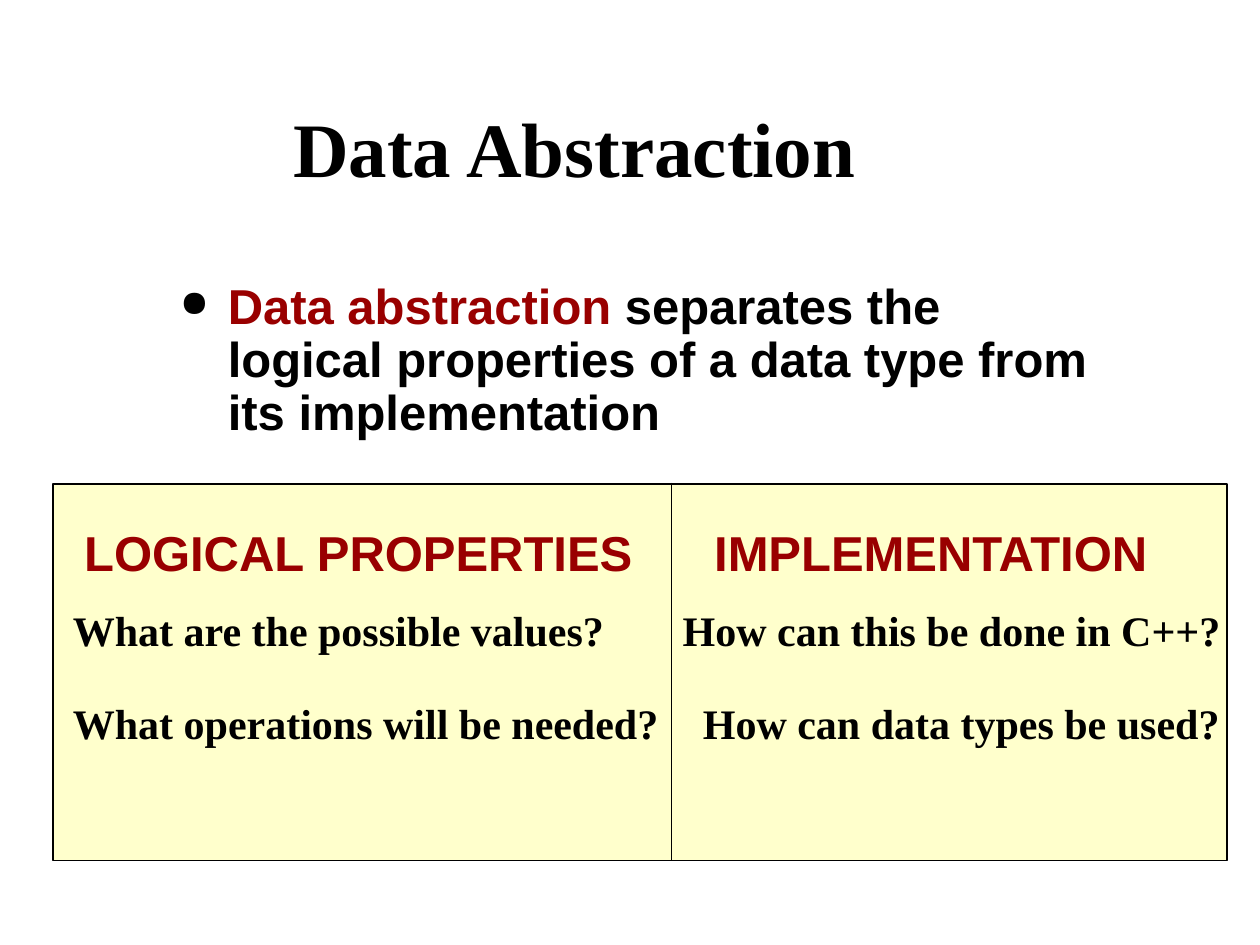
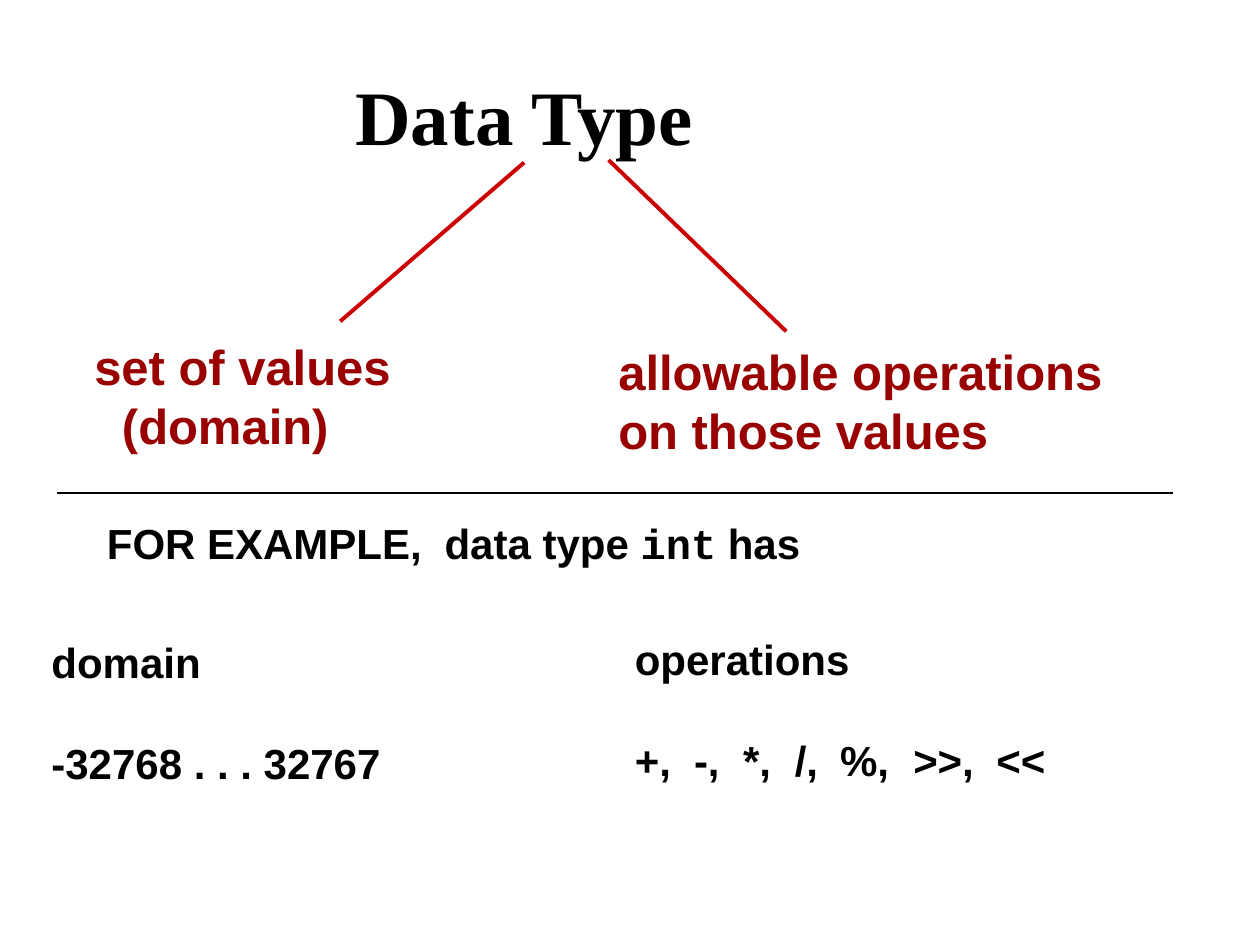
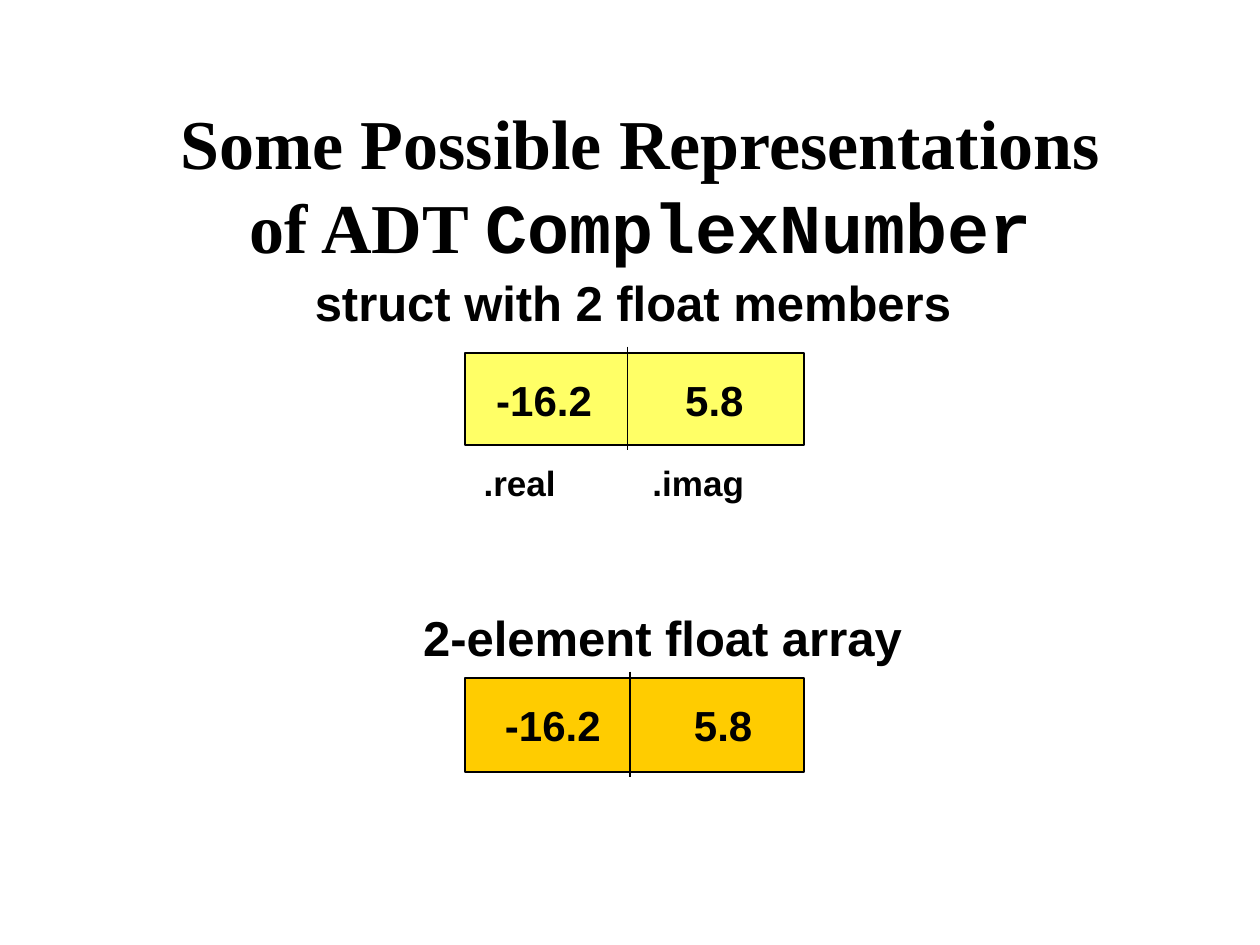
from dataclasses import dataclass

from lxml.etree import SubElement
from pptx import Presentation
from pptx.dml.color import RGBColor as RGB
from pptx.enum.shapes import MSO_CONNECTOR as Connector, MSO_SHAPE as Shape
from pptx.enum.text import MSO_ANCHOR as Anchor, MSO_AUTO_SIZE as AutoSize, PP_ALIGN as Align
from pptx.oxml.ns import qn
from pptx.util import Inches, Pt


@dataclass(frozen=True)
class Theme:
    ink: str = "000000"
    accent: str = "990000"
    branch: str = "CC0000"
    panel: str = "FFFFCC"
    struct: str = "FFFF66"
    array: str = "FFCC00"
    sans: str = "Arial"
    serif: str = "Times New Roman"
    mono: str = "Courier New"
    title: int = 44
    long_title: int = 40
    heading: int = 28
    body: int = 24
    small: int = 20
    thin: float = 1
    thick: float = 2.25


class Deck:
    """Holds the style and the slide being built."""

    def __init__(self, theme):
        self.theme = theme
        self.deck = Presentation()
        self.deck.slide_width, self.deck.slide_height = Inches(10), Inches(7.5)
        self.slide = None

    def start(self):
        self.slide = self.deck.slides.add_slide(self.deck.slide_layouts[5])

    def fill_paragraph(self, paragraph, content, size, color=None, font=None):
        """Content is a string, or a list of strings and (text, font, color) runs."""
        style = paragraph.font
        style.size, style.bold = Pt(size), True
        style.name = font or self.theme.sans
        style.color.rgb = RGB.from_string(color or self.theme.ink)
        for part in [content] if isinstance(content, str) else content:
            if part == "\n":
                paragraph.add_line_break()
                continue
            words, own_font, own_color = (part, None, None) if isinstance(part, str) else part
            run = paragraph.add_run()
            run.text = words
            if own_font:
                run.font.name = own_font
            if own_color:
                run.font.color.rgb = RGB.from_string(own_color)

    def title(self, at, content, size, right_inset=0.1):
        holder = self.slide.shapes.title
        holder.left, holder.top, holder.width, holder.height = map(Inches, at)
        frame = holder.text_frame
        frame.auto_size, frame.word_wrap = AutoSize.NONE, True
        frame.vertical_anchor = Anchor.BOTTOM
        frame.margin_right = Inches(right_inset)
        paragraph = frame.paragraphs[0]
        paragraph.alignment = Align.CENTER
        self.fill_paragraph(paragraph, content, size, font=self.theme.serif)

    def text(self, at, lines, size, color=None, font=None, gap=0, tabs=(), indents=()):
        """Tabs holds the tab stops of each line, indents the left indent of each line."""
        frame = self.slide.shapes.add_textbox(*map(Inches, at)).text_frame
        frame.word_wrap = True
        for i, line in enumerate(lines):
            paragraph = frame.add_paragraph() if i else frame.paragraphs[0]
            properties = paragraph._p.get_or_add_pPr()
            if indents:
                properties.set("marL", str(Inches(indents[i])))
            if tabs and tabs[i]:
                stops = SubElement(properties, qn("a:tabLst"))
                for stop in tabs[i]:
                    SubElement(stops, qn("a:tab"), pos=str(Inches(stop)), algn="l")
            if i and gap:
                paragraph.space_before = Pt(gap)
            self.fill_paragraph(paragraph, line, size, color, font)
        return frame

    def bullet(self, at, content, top_inset):
        frame = self.text(at, [], self.theme.heading)
        frame.margin_top = Inches(top_inset)
        paragraph = frame.paragraphs[0]
        properties = paragraph._p.get_or_add_pPr()
        properties.set("marL", str(Inches(0.38)))
        properties.set("indent", str(Inches(-0.38)))
        SubElement(SubElement(properties, qn("a:buClr")), qn("a:srgbClr"), val=self.theme.ink)
        SubElement(properties, qn("a:buSzPct"), val="75000")
        SubElement(properties, qn("a:buChar"), char="●")
        paragraph.line_spacing = 0.9
        self.fill_paragraph(paragraph, content, self.theme.heading)

    def box(self, at, fill):
        box = self.slide.shapes.add_shape(Shape.RECTANGLE, *map(Inches, at))
        box.shadow.inherit = False
        box.fill.solid()
        box.fill.fore_color.rgb = RGB.from_string(fill)
        box.line.color.rgb = RGB.from_string(self.theme.ink)
        box.line.width = Pt(self.theme.thin)

    def line(self, start, end, color=None, width=None):
        line = self.slide.shapes.add_connector(Connector.STRAIGHT, *map(Inches, start + end))
        line.line.color.rgb = RGB.from_string(color or self.theme.ink)
        line.line.width = Pt(width or self.theme.thin)
        SubElement(line._element.spPr, qn("a:effectLst"))


def data_abstraction(deck):
    theme = deck.theme
    deck.start()
    deck.title((0.9, 0.75, 8.42, 0.83), "Data Abstraction", theme.title, right_inset=1.2)
    deck.bullet(
        (1.33, 1.76, 7.42, 1.82),
        [("Data abstraction", None, theme.accent),
         " separates the logical properties of a data type from its implementation"],
        top_inset=0.48,
    )

    # Two-column panel
    deck.box((0.42, 3.84, 9.32, 2.99), theme.panel)
    deck.text((0.57, 4.1, 8.7, 0.57), ["LOGICAL PROPERTIES\tIMPLEMENTATION"],
              theme.heading, theme.accent, tabs=[[5]])
    deck.line((5.33, 3.83), (5.33, 6.83))
    deck.text(
        (0.48, 4.75, 9.52, 1.23),
        ["What are the possible values?\tHow can this be done in C++?",
         "What operations will be needed?\tHow can data types be used?"],
        theme.body, font=theme.serif, gap=24, tabs=[[4.84], [5]],
    )


def data_type(deck):
    theme = deck.theme
    deck.start()
    deck.title((0.5, 0.62, 8.42, 0.71), "Data Type", theme.title, right_inset=1.2)

    # The two parts of a data type
    deck.text((0, 2.62, 3.9, 1.04), ["set of values", "(domain)"],
              theme.heading, theme.accent, indents=[0.65, 0.87])
    deck.text((4.81, 2.66, 4.33, 1.04), ["allowable operations", "on those values"],
              theme.heading, theme.accent)
    for start, end in (((4.16, 1.29), (2.7, 2.55)), ((4.83, 1.27), (6.24, 2.63))):
        deck.line(start, end, theme.branch, theme.thick)

    # Example
    deck.text((0.75, 4.06, 5.71, 0.5),
              [["FOR EXAMPLE,\tdata type ", ("int", theme.mono, None), " has"]],
              theme.body, tabs=[[2.68]])
    deck.text((0.31, 5, 4, 1.3), ["domain", "-32768 . . . 32767"], theme.body, gap=29)
    operators = ",\t".join(["+", "-", "*", "/", "%", ">>", "<<"])
    deck.text((4.94, 4.98, 4.63, 1.3), ["operations", operators], theme.body, gap=29,
              tabs=[[], [0.47, 0.86, 1.27, 1.63, 2.21, 2.87]])
    deck.line((0.45, 3.91), (9.31, 3.91))


def representations(deck):
    theme = deck.theme
    deck.start()
    deck.title(
        (0.83, 0.75, 8.5, 1.42),
        ["Some Possible Representations", "\n", "of ADT ", ("ComplexNumber", theme.mono, None)],
        theme.long_title,
    )

    # Each form: caption place and text, box top and height, fill, divider, place of the values
    forms = (
        (2.4, 2.11, "struct with 2 float members", 2.8, 0.73, theme.struct, 4.98, 3.84, 2.92),
        (3.26, 4.77, "2-element float array", 5.38, 0.75, theme.array, 5, 3.91, 5.5),
    )
    for left, top, caption, box_top, height, fill, divider, values_left, values_top in forms:
        deck.text((left, top, 5.6, 0.57), [caption], theme.heading)
        deck.box((3.69, box_top, 2.69, height), fill)
        deck.line((divider, box_top - 0.05), (divider, box_top + height + 0.04))
        deck.text((values_left, values_top, 2.4, 0.5), ["-16.2\t5.8"], theme.body, tabs=[[1.5]])
    deck.text((3.74, 3.61, 2.5, 0.43), [".real\t.imag"], theme.small, tabs=[[1.34]])


def main():
    deck = Deck(Theme())
    data_abstraction(deck)
    data_type(deck)
    representations(deck)
    deck.deck.save("out.pptx")


if __name__ == "__main__":
    main()
